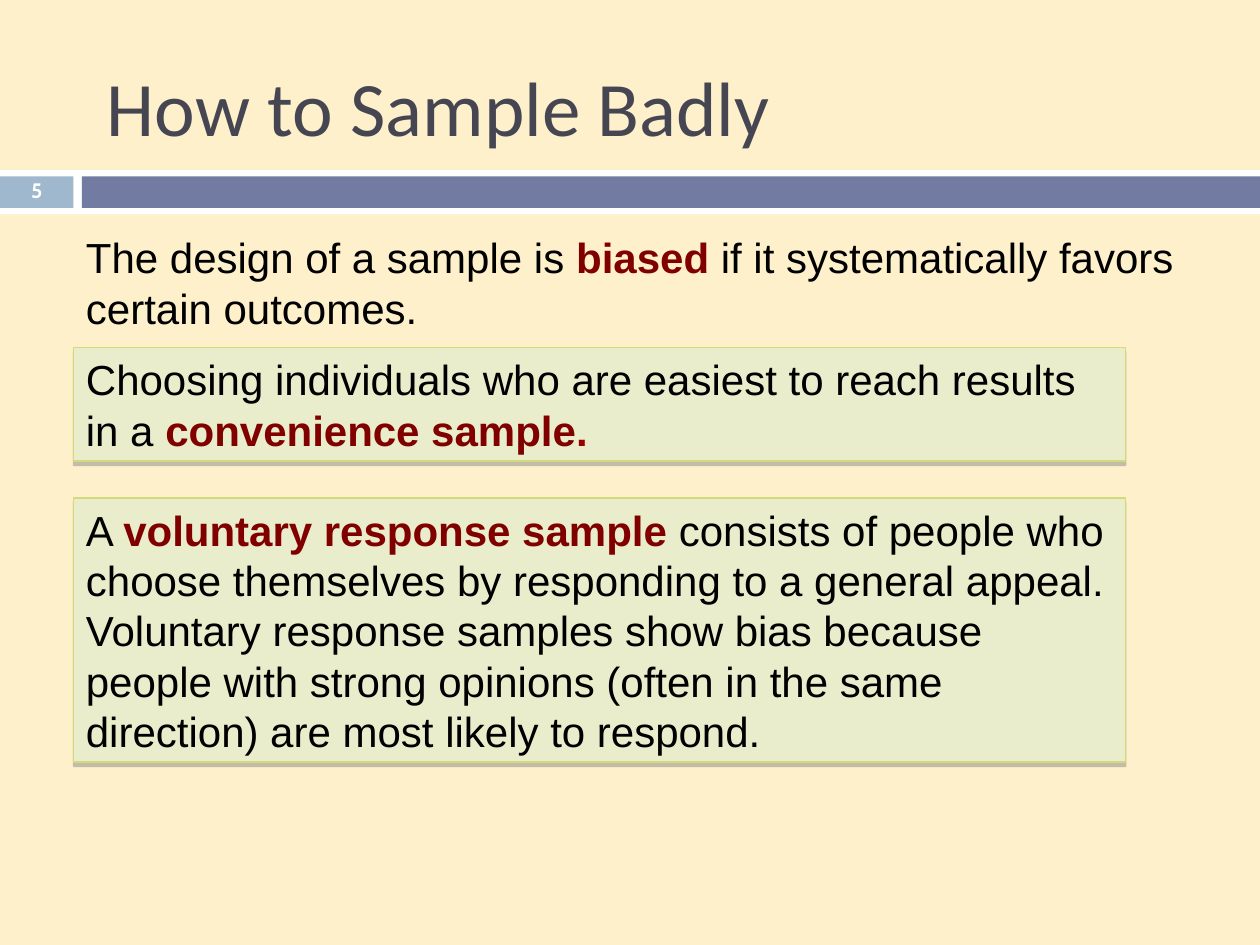
from lxml import etree
from pptx import Presentation
from pptx.dml.color import RGBColor
from pptx.enum import shapes, text
from pptx.oxml import ns
from pptx.util import Pt

THEME = {
    "background": "FDF0CA", "white": "FFFFFF", "badge": "9FB8CD", "band": "727CA3",
    "title": "464653", "body": "000000", "term": "800000", "stop": "990000",
    "card": "EAEDCB", "card_line": "D2DA7A", "shadow": "808080",
    "title_font": "Calibri", "body_font": "Arial", "number_font": "Cabin",
    "title_size": 44, "body_size": 24, "number_size": 12,
}

TITLE = "How to Sample Badly"
PAGE_NUMBER = "5"
BIAS = [
    ("The design of a sample is ", "body"),
    ("biased ", "term"),
    ("if it systematically favors certain outcomes.", "body"),
]
CONVENIENCE = [
    ("Choosing individuals who are easiest to reach results in a ", "body"),
    ("convenience sample", "term"),
    (".", "stop"),
]
VOLUNTARY = [
    ("A ", "body"),
    ("voluntary response sample ", "term"),
    ("consists of people who choose themselves by responding to a general appeal. "
     "Voluntary response samples show bias because people with strong opinions "
     "(often in the same direction) are most likely to respond.", "body"),
]

WIDTH, HEIGHT = 720, 540
LEFT = 42
BAND_LEFT = 46.8
BAND_TOP, BAND_HEIGHT = 100.8, 18
BAND_MARGIN = 3.6
CARD_WIDTH = 601.2
CARDS = [(CONVENIENCE, 198.5, 65), (VOLUNTARY, 284.5, 151)]


def color(name):
    return RGBColor.from_string(THEME[name])


def add_rect(slide, box, fill):
    sp = slide.shapes.add_shape(shapes.MSO_SHAPE.RECTANGLE, *map(Pt, box))
    sp.shadow.inherit = False
    sp.fill.solid()
    sp.fill.fore_color.rgb = color(fill)
    sp.line.fill.background()
    return sp


def write(sp, runs, kind="body", anchor=text.MSO_ANCHOR.TOP, align=text.PP_ALIGN.LEFT):
    tf = sp.text_frame
    tf.word_wrap = True
    tf.vertical_anchor = anchor
    p = tf.paragraphs[0]
    p.alignment = align
    for words, style in runs:
        r = p.add_run()
        r.text = words
        r.font.name = THEME[kind + "_font"]
        r.font.size = Pt(THEME[kind + "_size"])
        r.font.bold = style in ("term", "stop", "white")
        r.font.color.rgb = color(style)
    return p


def add_text(slide, box, runs, **options):
    return write(slide.shapes.add_textbox(*map(Pt, box)), runs, **options)


def add_drop_shadow(sp):
    effects = sp._element.spPr.find(ns.qn("a:effectLst"))
    shadow = etree.SubElement(effects, ns.qn("a:outerShdw"), blurRad="0",
                              dist=str(Pt(2.4)), dir="5400000", rotWithShape="0")
    tint = etree.SubElement(shadow, ns.qn("a:srgbClr"), val=THEME["shadow"])
    etree.SubElement(tint, ns.qn("a:alpha"), val="45000")


def add_card(slide, runs, top, height):
    sp = add_rect(slide, (LEFT, top, CARD_WIDTH, height), "card")
    sp.line.color.rgb = color("card_line")
    sp.line.width = Pt(0.79)
    add_drop_shadow(sp)
    write(sp, runs)


def main():
    prs = Presentation()
    prs.slide_width, prs.slide_height = Pt(WIDTH), Pt(HEIGHT)
    s = prs.slides.add_slide(prs.slide_layouts[6])
    s.background.fill.solid()
    s.background.fill.fore_color.rgb = color("background")

    add_rect(s, (0, BAND_TOP - BAND_MARGIN, WIDTH, BAND_HEIGHT + 2 * BAND_MARGIN), "white")
    add_rect(s, (0, BAND_TOP, LEFT, BAND_HEIGHT), "badge")
    add_rect(s, (BAND_LEFT, BAND_TOP, WIDTH - BAND_LEFT, BAND_HEIGHT), "band")

    number = add_text(s, (0, 100, LEFT, 19.5), [(PAGE_NUMBER, "white")], kind="number",
                      anchor=text.MSO_ANCHOR.MIDDLE, align=text.PP_ALIGN.CENTER)
    number.line_spacing = 0.8
    add_text(s, (54, 12.2, 612, 96), [(TITLE, "title")], kind="title",
             anchor=text.MSO_ANCHOR.MIDDLE)
    add_text(s, (LEFT, 129, 643.5, 65), BIAS)
    for card in CARDS:
        add_card(s, *card)

    prs.save("out.pptx")


if __name__ == "__main__":
    main()
